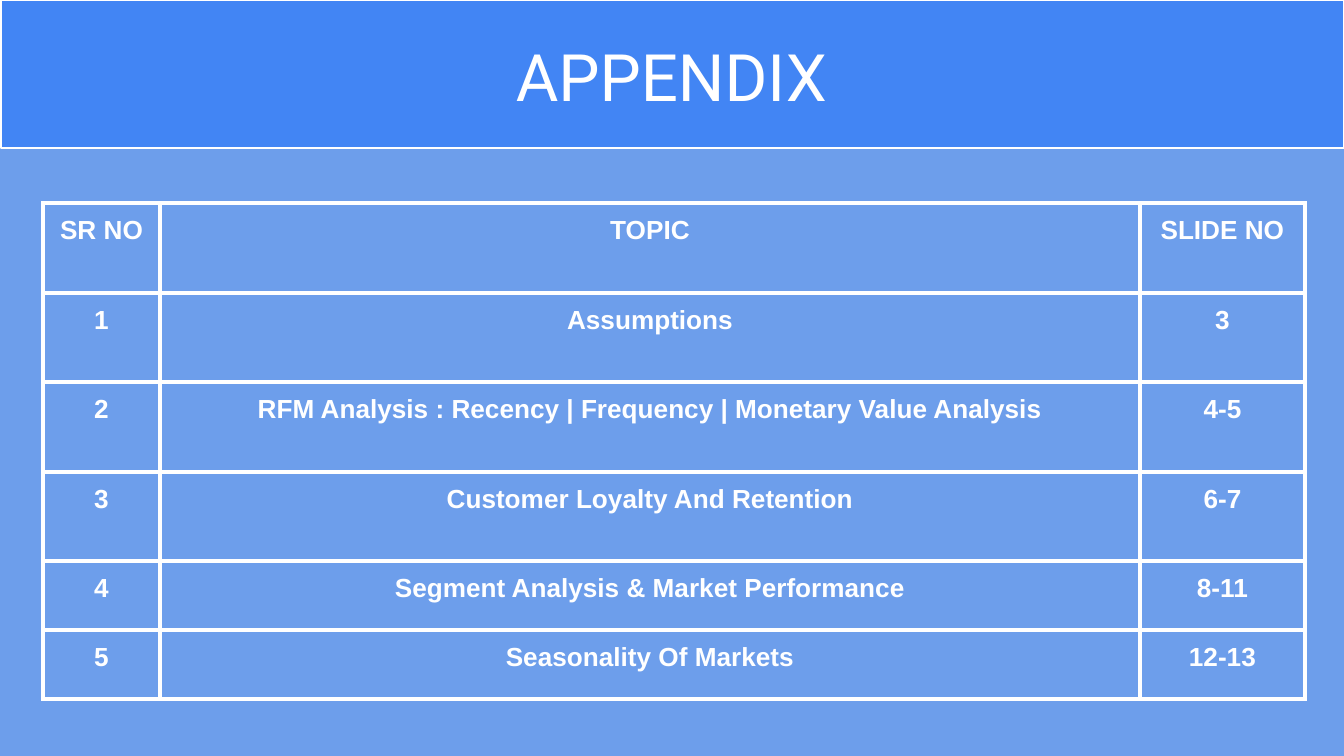
from typing import NamedTuple

from lxml import etree
from pptx import Presentation
from pptx.dml.color import RGBColor
from pptx.enum.shapes import MSO_SHAPE
from pptx.enum.text import PP_ALIGN
from pptx.oxml.ns import qn
from pptx.util import Emu, Pt

RECT = MSO_SHAPE.RECTANGLE
CENTER = PP_ALIGN.CENTER
WHITE = RGBColor(0xFF, 0xFF, 0xFF)
BLUE = RGBColor(0x42, 0x85, 0xF4)
SKY = RGBColor(0x6D, 0x9E, 0xEB)
SCALE = 914400 / 134.4
INSET = 13
RULE = Pt(2.25)
SIDES = ("a:lnL", "a:lnR", "a:lnT", "a:lnB")


class Entry(NamedTuple):
    number: str
    topic: str
    pages: str


class Style(NamedTuple):
    font: str
    size: int
    bold: bool


TITLE = Style("Roboto", 35, False)
BODY = Style("Arial", 14, True)
COLS = (117, 980, 165)
ROWS = (90, 89, 90, 89, 69, 69)
ENTRIES = (
    Entry("SR NO", "TOPIC", "SLIDE NO"),
    Entry("1", "Assumptions", "3"),
    Entry("2", "RFM Analysis : Recency | Frequency | Monetary Value Analysis", "4-5"),
    Entry("3", "Customer Loyalty And Retention", "6-7"),
    Entry("4", "Segment Analysis & Market Performance", "8-11"),
    Entry("5", "Seasonality Of Markets", "12-13"),
)


def px(length: int) -> Emu:
    return Emu(round(length * SCALE))


def box(*lengths: int) -> tuple[Emu, ...]:
    return tuple(px(length) for length in lengths)


def pad(frame) -> None:
    frame.margin_left = frame.margin_right = px(INSET)
    frame.margin_top = frame.margin_bottom = px(INSET)


def write(frame, text: str, style: Style) -> None:
    para = frame.paragraphs[0]
    para.alignment = CENTER
    run = para.add_run()
    run.text = text
    run.font.name = style.font
    run.font.size = Pt(style.size)
    run.font.bold = style.bold
    run.font.color.rgb = WHITE


def edge(cell) -> None:
    props = cell._tc.get_or_add_tcPr()
    for spot, side in enumerate(SIDES):
        line = etree.Element(qn(side), w=str(RULE))
        fill = etree.SubElement(line, qn("a:solidFill"))
        etree.SubElement(fill, qn("a:srgbClr"), val=str(WHITE))
        props.insert(spot, line)


def add_banner(slide) -> None:
    band = slide.shapes.add_shape(RECT, *box(1, 0, 1344, 148))
    band.shadow.inherit = False
    band.fill.solid()
    band.fill.fore_color.rgb = BLUE
    band.line.color.rgb = WHITE
    band.line.width = Pt(1.5)
    title = slide.shapes.add_textbox(*box(15, 23, 1313, 106)).text_frame
    title.word_wrap = True
    pad(title)
    write(title, "APPENDIX", TITLE)


def add_index(slide) -> None:
    place = box(43, 203, sum(COLS), sum(ROWS))
    table = slide.shapes.add_table(len(ROWS), len(COLS), *place).table
    table.first_row = table.horz_banding = False
    for col, width in zip(table.columns, COLS):
        col.width = px(width)
    for row, height, entry in zip(table.rows, ROWS, ENTRIES):
        row.height = px(height)
        for cell, text in zip(row.cells, entry):
            cell.fill.background()
            pad(cell)
            edge(cell)
            write(cell.text_frame, text, BODY)


def main() -> None:
    deck = Presentation()
    deck.slide_width, deck.slide_height = box(1344, 756)
    slide = deck.slides.add_slide(deck.slide_layouts[6])
    slide.background.fill.solid()
    slide.background.fill.fore_color.rgb = SKY
    add_banner(slide)
    add_index(slide)
    deck.save("out.pptx")


if __name__ == "__main__":
    main()
